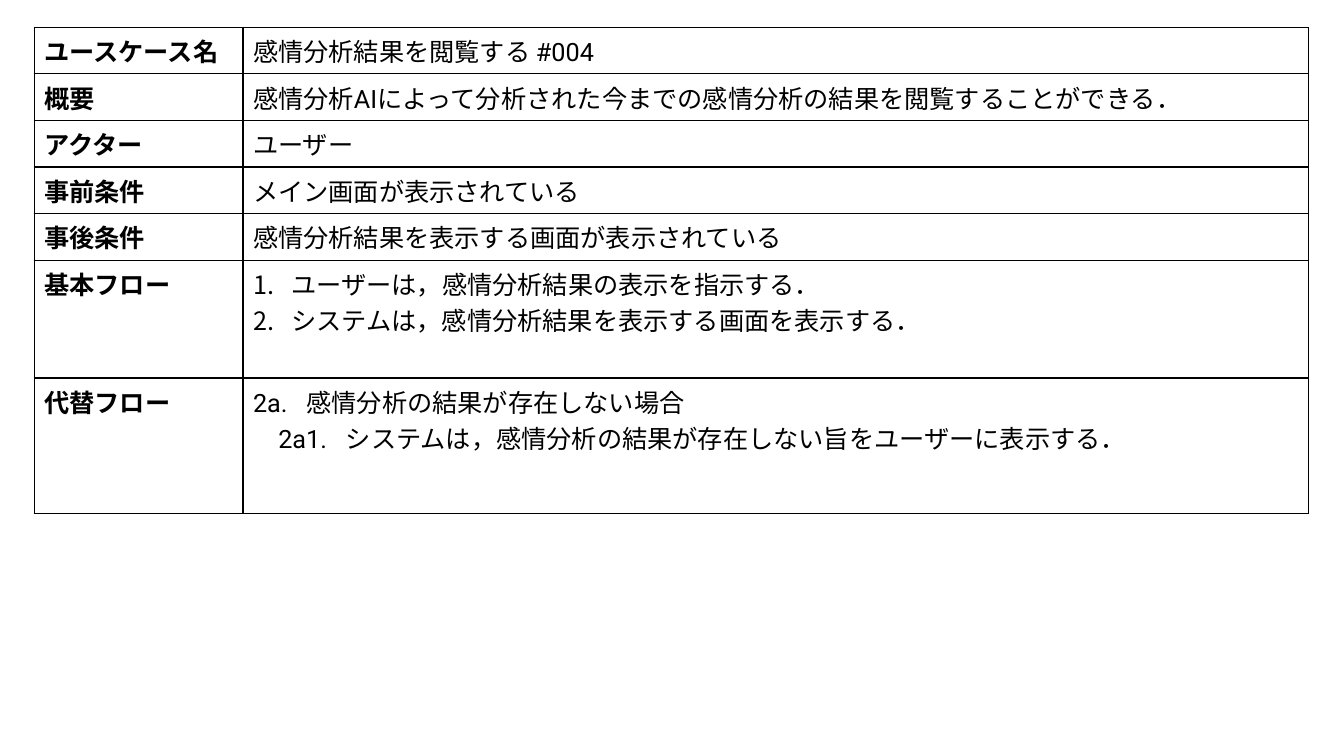
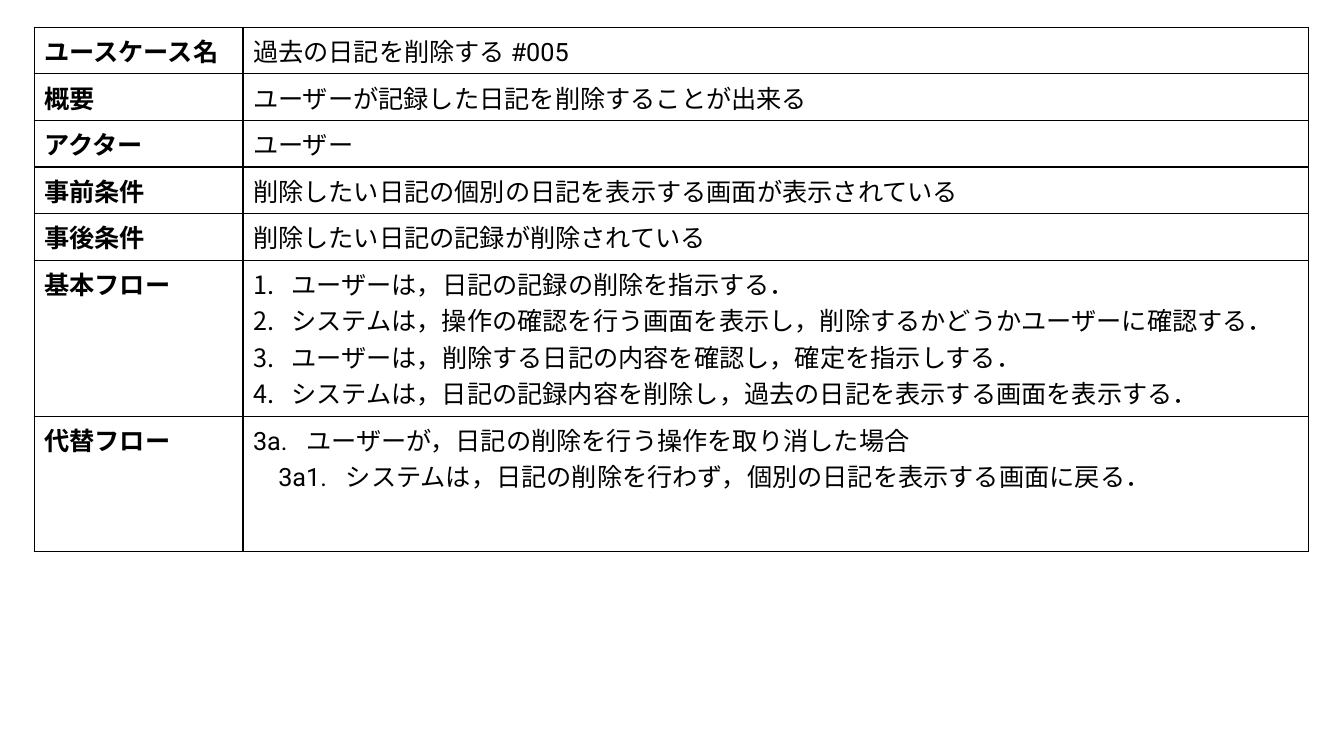
from dataclasses import dataclass

from lxml import etree
from pptx import Presentation
from pptx.dml.color import RGBColor
from pptx.enum.lang import MSO_LANGUAGE_ID
from pptx.oxml.ns import qn
from pptx.util import Inches, Pt

FONT = "Roboto"
INK = "000000"
LABELS = ("ユースケース名", "概要", "アクター", "事前条件", "事後条件", "基本フロー", "代替フロー")
COLUMN_WIDTHS = (2.07, 10.57)
ROW_HEIGHTS = (0.41,) * 5 + (1.17, 1.34)


@dataclass(frozen=True)
class Line:
    text: str
    left: float = 0
    hang: float = 0
    numbered: bool = False


@dataclass(frozen=True)
class UseCase:
    name: str
    summary: str
    actor: str
    before: str
    after: str
    steps: tuple[str, ...]
    condition: str
    response: str

    def rows(self) -> list[list[Line]]:
        facts = (self.name, self.summary, self.actor, self.before, self.after)
        return [[Line(fact)] for fact in facts] + [
            [Line(step, 0.38, 0.38, True) for step in self.steps],
            [Line(self.condition, 0.53, 0.53), Line(self.response, 0.92, 0.67)],
        ]


USE_CASES = (
    UseCase(
        "感情分析結果を閲覧する #004",
        "感情分析AIによって分析された今までの感情分析の結果を閲覧することができる．",
        "ユーザー",
        "メイン画面が表示されている",
        "感情分析結果を表示する画面が表示されている",
        (
            "ユーザーは，感情分析結果の表示を指示する．",
            "システムは，感情分析結果を表示する画面を表示する．",
        ),
        "2a.\t感情分析の結果が存在しない場合",
        "2a1.\tシステムは，感情分析の結果が存在しない旨をユーザーに表示する．",
    ),
    UseCase(
        "過去の日記を削除する #005",
        "ユーザーが記録した日記を削除することが出来る",
        "ユーザー",
        "削除したい日記の個別の日記を表示する画面が表示されている",
        "削除したい日記の記録が削除されている",
        (
            "ユーザーは，日記の記録の削除を指示する．",
            "システムは，操作の確認を行う画面を表示し，削除するかどうかユーザーに確認する．",
            "ユーザーは，削除する日記の内容を確認し，確定を指示しする．",
            "システムは，日記の記録内容を削除し，過去の日記を表示する画面を表示する．",
        ),
        "3a.\tユーザーが，日記の削除を行う操作を取り消した場合",
        "3a1.\tシステムは，日記の削除を行わず，個別の日記を表示する画面に戻る．",
    ),
)


def color(value: str) -> RGBColor:
    return RGBColor.from_string(value)


def add_borders(cell) -> None:
    tc_pr = cell._tc.get_or_add_tcPr()
    for side in ("lnL", "lnR", "lnT", "lnB"):
        ln = etree.SubElement(tc_pr, qn(f"a:{side}"), w=str(Pt(1)))
        fill = etree.SubElement(ln, qn("a:solidFill"))
        etree.SubElement(fill, qn("a:srgbClr"), val=INK)


def indent(p, line: Line) -> None:
    p_pr = p._p.get_or_add_pPr()
    p_pr.set("marL", str(Inches(line.left)))
    p_pr.set("indent", str(-Inches(line.hang)))
    if line.numbered:
        etree.SubElement(p_pr, qn("a:buFont"), typeface="+mj-lt")
        etree.SubElement(p_pr, qn("a:buAutoNum"), type="arabicPeriod")


def fill_cell(cell, lines: list[Line], bold: bool) -> None:
    add_borders(cell)
    cell.fill.background()
    tf = cell.text_frame
    for i, line in enumerate(lines):
        p = tf.add_paragraph() if i else tf.paragraphs[0]
        if line.hang:
            indent(p, line)
        r = p.add_run()
        r.text = line.text
        r.font.language_id = MSO_LANGUAGE_ID.JAPANESE
        p.font.name = FONT
        p.font.size = Pt(18)
        p.font.bold = bold
        p.font.color.rgb = color(INK)


def add_use_case(prs, case: UseCase) -> None:
    s = prs.slides.add_slide(prs.slide_layouts[6])
    frame = s.shapes.add_table(
        len(LABELS), len(COLUMN_WIDTHS), Inches(0.34), Inches(0.27),
        Inches(sum(COLUMN_WIDTHS)), Inches(sum(ROW_HEIGHTS)),
    )
    table = frame.table
    table.first_row = table.horz_banding = False
    for column, width in zip(table.columns, COLUMN_WIDTHS):
        column.width = Inches(width)
    for row, height, label, lines in zip(table.rows, ROW_HEIGHTS, LABELS, case.rows()):
        row.height = Inches(height)
        fill_cell(row.cells[0], [Line(label)], True)
        fill_cell(row.cells[1], lines, False)


def main() -> None:
    prs = Presentation()
    prs.slide_width, prs.slide_height = Inches(13.33), Inches(7.5)
    for case in USE_CASES:
        add_use_case(prs, case)
    prs.save("out.pptx")


if __name__ == "__main__":
    main()
